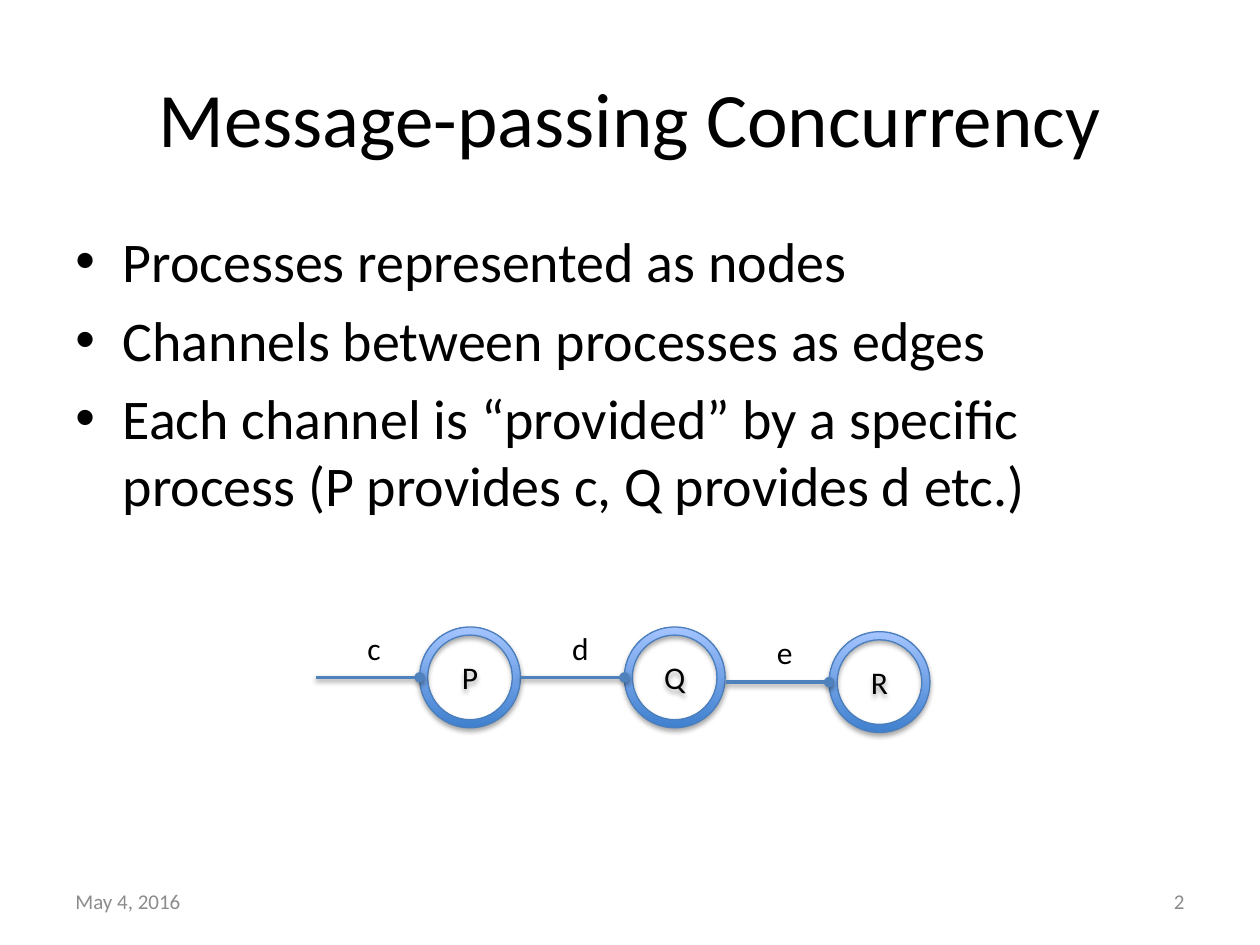
from lxml import etree
from pptx import Presentation
from pptx import util as u
from pptx.dml.color import RGBColor
from pptx.enum import shapes, text
from pptx.oxml.ns import qn

COLORS = {"text": "000000", "muted": "8C8C8C", "edge": "4F81BD",
          "outline": "4B7EBC", "dark": "3F80CE", "light": "A4C4FF"}
FONT = "Calibri"
MID = text.MSO_ANCHOR.MIDDLE
CENTER, RIGHT = text.PP_ALIGN.CENTER, text.PP_ALIGN.RIGHT
NODE = 57.6
EDGE = 59.2
PITCH = 117


def rgb(name):
    return RGBColor.from_string(COLORS[name])


def assign(obj, values):
    for key, value in values.items():
        setattr(obj, key, value)


def child(parent, tag, **attrs):
    return etree.SubElement(parent, qn(tag), attrs)


def add_shadow(sp, alpha, dist):
    effects = child(sp._element.spPr, "a:effectLst")
    outer = child(effects, "a:outerShdw", blurRad=str(u.Pt(3.1)), dist=str(u.Pt(dist)),
                  dir="5400000", rotWithShape="0")
    color = child(outer, "a:srgbClr", val=COLORS["text"])
    child(color, "a:alpha", val=str(alpha * 1000))


def write(tf, lines, size, color="text", para=None, **frame):
    assign(tf, {"word_wrap": True, **frame})
    for i, line in enumerate(lines):
        p = tf.paragraphs[0] if i == 0 else tf.add_paragraph()
        assign(p, para or {})
        r = p.add_run()
        r.text = line
        assign(r.font, {"name": FONT, "size": u.Pt(size)})
        r.font.color.rgb = rgb(color)


def add_text(parent, box, lines, size, **fmt):
    sp = parent.add_textbox(*map(u.Pt, box))
    write(sp.text_frame, lines, size, **fmt)
    return sp


def add_bullets(parent, box, lines, size):
    sp = add_text(parent, box, lines, size, para={"space_before": u.Pt(6.4)})
    for p in sp.text_frame.paragraphs:
        pPr = p._p.get_or_add_pPr()
        pPr.set("marL", str(u.Pt(27)))
        pPr.set("indent", str(u.Pt(-27)))
        child(pPr, "a:buFont", typeface="Arial")
        child(pPr, "a:buChar", char="•")


def add_node(parent, x, y, label):
    sp = parent.add_shape(shapes.MSO_SHAPE.DONUT, *map(u.Pt, (x, y, NODE, NODE)))
    sp.adjustments[0] = 0.08
    sp.fill.gradient()
    sp.fill.gradient_angle = 90
    for stop, name, position in zip(sp.fill.gradient_stops, ("dark", "light"), (0, 1)):
        stop.color.rgb = rgb(name)
        stop.position = position
    sp.line.color.rgb = rgb("outline")
    sp.line.width = u.Pt(0.75)
    add_shadow(sp, 35, 1.8)
    write(sp.text_frame, [label], 18, para={"alignment": CENTER}, vertical_anchor=MID)


def add_edge(parent, x, y):
    line = parent.add_connector(shapes.MSO_CONNECTOR.STRAIGHT,
                                *map(u.Pt, (x, y, x - EDGE, y)))
    line.line.color.rgb = rgb("edge")
    line.line.width = u.Pt(2)
    child(line.line._ln, "a:headEnd", type="oval")
    add_shadow(line, 38, 1.6)


def add_process(s, x, y, process, channel):
    group = s.shapes.add_group_shape().shapes
    add_node(group, x, y, process)
    add_edge(group, x, y + NODE / 2)
    add_text(group, (x - 37, y - 2.6, 23.5, 29), [channel], 18, word_wrap=False)


def main():
    prs = Presentation()
    assign(prs, {"slide_width": u.Pt(720), "slide_height": u.Pt(540)})
    s = prs.slides.add_slide(prs.slide_layouts[6])
    add_text(s.shapes, (36, 21.6, 648, 90), ["Message-passing Concurrency"], 44,
             para={"alignment": CENTER}, vertical_anchor=MID)
    add_bullets(s.shapes, (36, 126, 648, 356.4), [
        "Processes represented as nodes",
        "Channels between processes as edges",
        "Each channel is “provided” by a specific process (P provides c, Q provides d etc.)",
    ], 32)
    for i, (process, channel, y) in enumerate(
            [("P", "c", 358.3), ("Q", "d", 358.3), ("R", "e", 361)]):
        add_process(s, 239.8 + i * PITCH, y, process, channel)
    footer = {"color": "muted", "vertical_anchor": MID}
    add_text(s.shapes, (516, 500.5, 168, 28.8), ["2"], 12,
             para={"alignment": RIGHT}, **footer)
    add_text(s.shapes, (36, 500.5, 168, 28.8), ["May 4, 2016"], 12, **footer)
    prs.save("out.pptx")


main()
